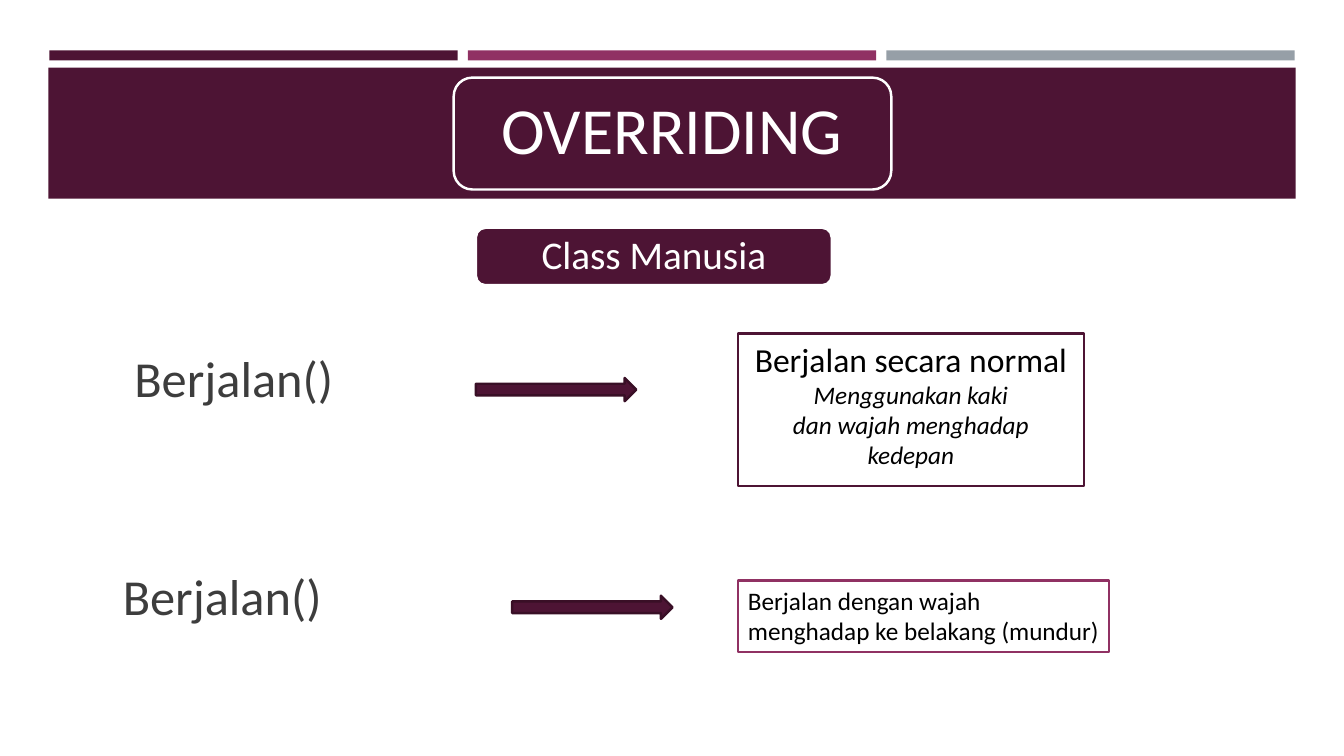
from dataclasses import dataclass
from typing import Optional

from lxml.etree import SubElement
from pptx import Presentation
from pptx.dml.color import RGBColor
from pptx.enum.shapes import MSO_SHAPE
from pptx.enum.text import MSO_ANCHOR, MSO_AUTO_SIZE, PP_ALIGN
from pptx.oxml.ns import qn
from pptx.shapes.autoshape import Shape
from pptx.slide import Slide
from pptx.util import Inches, Pt

PLUM = RGBColor(0x4D, 0x14, 0x34)
DARK_PLUM = RGBColor(0x39, 0x0F, 0x26)
MAGENTA = RGBColor(0x90, 0x31, 0x63)
GRAY = RGBColor(0x96, 0x9F, 0xA7)
CHARCOAL = RGBColor(0x3D, 0x3D, 0x3D)
WHITE = RGBColor(0xFF, 0xFF, 0xFF)
BLACK = RGBColor(0, 0, 0)
FONT = "Calibri"


@dataclass(frozen=True)
class Box:
    left: float
    top: float
    width: float
    height: float


@dataclass(frozen=True)
class Panel:
    box: Box
    fill: RGBColor
    line: Optional[RGBColor] = None
    kind: MSO_SHAPE = MSO_SHAPE.RECTANGLE


@dataclass(frozen=True)
class Line:
    text: str
    size: float
    italic: bool = False


STRIPES = [
    Panel(Box(0.49 + 4.15 * index, 0.5, 4.05, 0.1), color)
    for index, color in enumerate((PLUM, MAGENTA, GRAY))
]
BAND = Panel(Box(0.48, 0.67, 12.37, 1.3), PLUM)
TITLE_FRAME = Panel(Box(4.5, 0.77, 4.34, 1.11), PLUM, WHITE, MSO_SHAPE.ROUNDED_RECTANGLE)
CLASS_LABEL = Panel(Box(4.72, 2.26, 3.53, 0.57), PLUM, WHITE, MSO_SHAPE.ROUNDED_RECTANGLE)
ARROWS = [
    Panel(Box(left, top, 1.59, 0.23), PLUM, DARK_PLUM, MSO_SHAPE.RIGHT_ARROW)
    for left, top in ((4.72, 3.75), (5.08, 5.91))
]
NORMAL_WALK = Panel(Box(7.32, 3.31, 3.43, 1.51), WHITE, PLUM)
BACKWARD_WALK = Panel(Box(7.32, 5.76, 3.68, 0.71), WHITE, MAGENTA)
METHOD = Line("Berjalan()", 36)


def add_panel(slide: Slide, panel: Panel) -> Shape:
    box = panel.box
    shape = slide.shapes.add_shape(
        panel.kind, Inches(box.left), Inches(box.top), Inches(box.width), Inches(box.height)
    )
    shape.shadow.inherit = False
    shape.fill.solid()
    shape.fill.fore_color.rgb = panel.fill
    if panel.line is None:
        shape.line.fill.background()
    else:
        shape.line.color.rgb = panel.line
        shape.line.width = Pt(1.75)
    return shape


def place(shape: Shape, box: Box) -> None:
    shape.left, shape.top = Inches(box.left), Inches(box.top)
    shape.width, shape.height = Inches(box.width), Inches(box.height)


def write_text(
    shape: Shape,
    *lines: Line,
    color: RGBColor,
    align: PP_ALIGN = PP_ALIGN.CENTER,
    anchor: MSO_ANCHOR = MSO_ANCHOR.MIDDLE,
    spacing: float = 1.0,
    margins: tuple[float, float] = (0.1, 0.05),
) -> None:
    frame = shape.text_frame
    frame.word_wrap = True
    frame.auto_size = MSO_AUTO_SIZE.NONE
    frame.vertical_anchor = anchor
    frame.margin_left = frame.margin_right = Inches(margins[0])
    frame.margin_top = frame.margin_bottom = Inches(margins[1])
    for index, line in enumerate(lines):
        paragraph = frame.add_paragraph() if index else frame.paragraphs[0]
        paragraph.alignment = align
        paragraph.line_spacing = spacing
        paragraph.space_before = paragraph.space_after = Pt(0)
        run = paragraph.add_run()
        run.text = line.text
        run.font.name = FONT
        run.font.size = Pt(line.size)
        run.font.italic = line.italic
        run.font.color.rgb = color


def remove_bullets(shape: Shape) -> None:
    for paragraph in shape.text_frame.paragraphs:
        properties = paragraph._p.get_or_add_pPr()
        properties.set("marL", "0")
        properties.set("indent", "0")
        SubElement(properties, qn("a:buNone"))


def bring_to_front(shape: Shape) -> None:
    shape.element.getparent().append(shape.element)


def main() -> None:
    presentation = Presentation()
    presentation.slide_width, presentation.slide_height = Inches(13.33), Inches(7.5)
    slide = presentation.slides.add_slide(presentation.slide_layouts[1])

    for panel in (*STRIPES, BAND, TITLE_FRAME, *ARROWS):
        add_panel(slide, panel)

    title = slide.shapes.title
    place(title, Box(4.55, 0.82, 4.23, 1))
    write_text(title, Line("OVERRIDING", 47), color=WHITE, spacing=0.9, margins=(0.2, 0.1))
    bring_to_front(title)

    class_label = add_panel(slide, CLASS_LABEL)
    write_text(class_label, Line("Class Manusia", 28), color=WHITE, spacing=0.9)

    first_method = slide.placeholders[1]
    place(first_method, Box(0.47, 2.72, 3.7, 2.05))
    remove_bullets(first_method)
    write_text(first_method, METHOD, color=CHARCOAL)
    bring_to_front(first_method)

    second_method = slide.shapes.add_textbox(
        Inches(0.64), Inches(4.88), Inches(3.13), Inches(2.05)
    )
    write_text(second_method, METHOD, color=CHARCOAL)

    write_text(
        add_panel(slide, NORMAL_WALK),
        Line("Berjalan secara normal", 24),
        Line("Menggunakan kaki", 18, italic=True),
        Line("dan wajah menghadap kedepan", 18, italic=True),
        color=BLACK,
        anchor=MSO_ANCHOR.TOP,
    )
    write_text(
        add_panel(slide, BACKWARD_WALK),
        Line("Berjalan dengan wajah menghadap ke belakang (mundur)", 18),
        color=BLACK,
        align=PP_ALIGN.LEFT,
        anchor=MSO_ANCHOR.TOP,
    )
    presentation.save("out.pptx")


if __name__ == "__main__":
    main()
